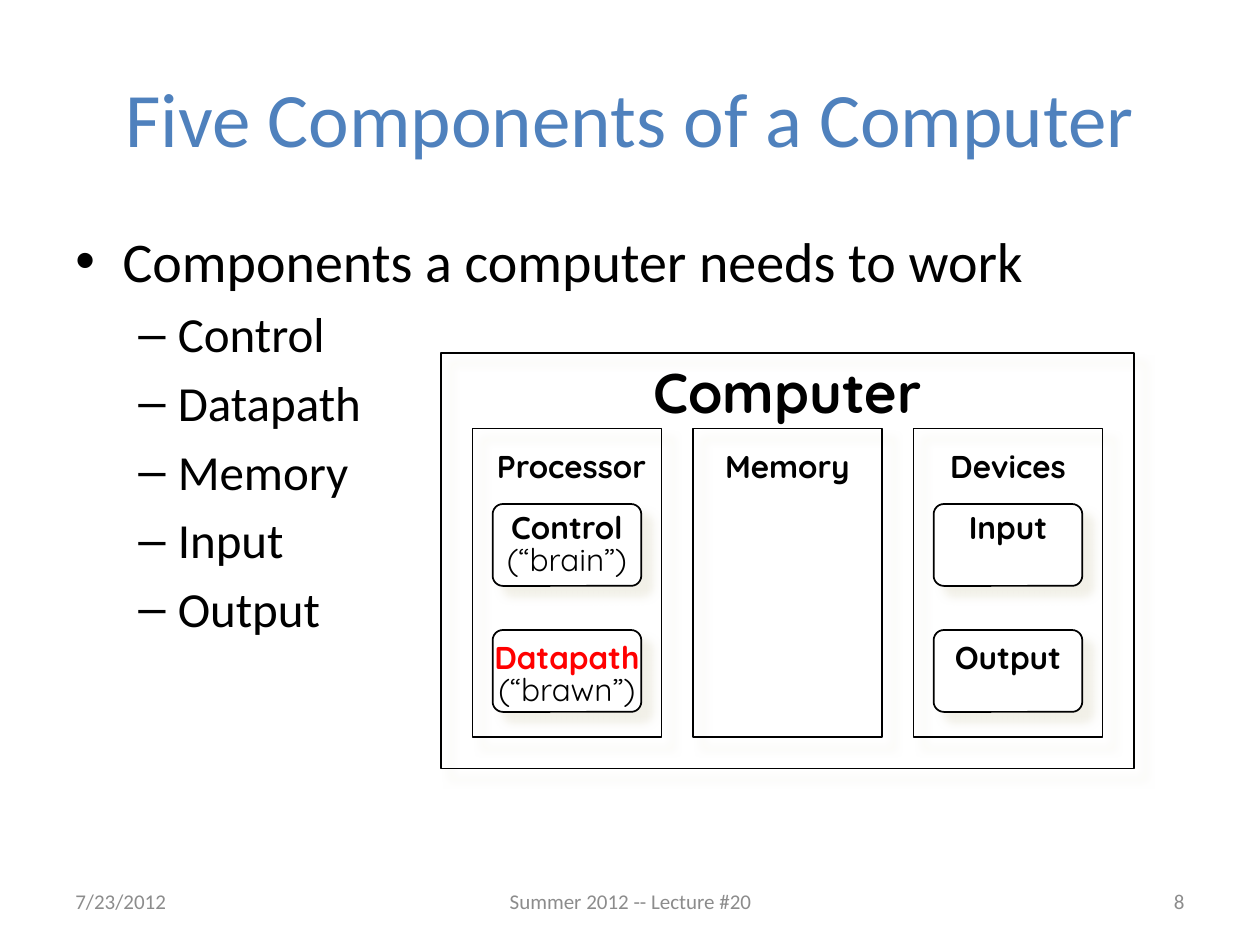
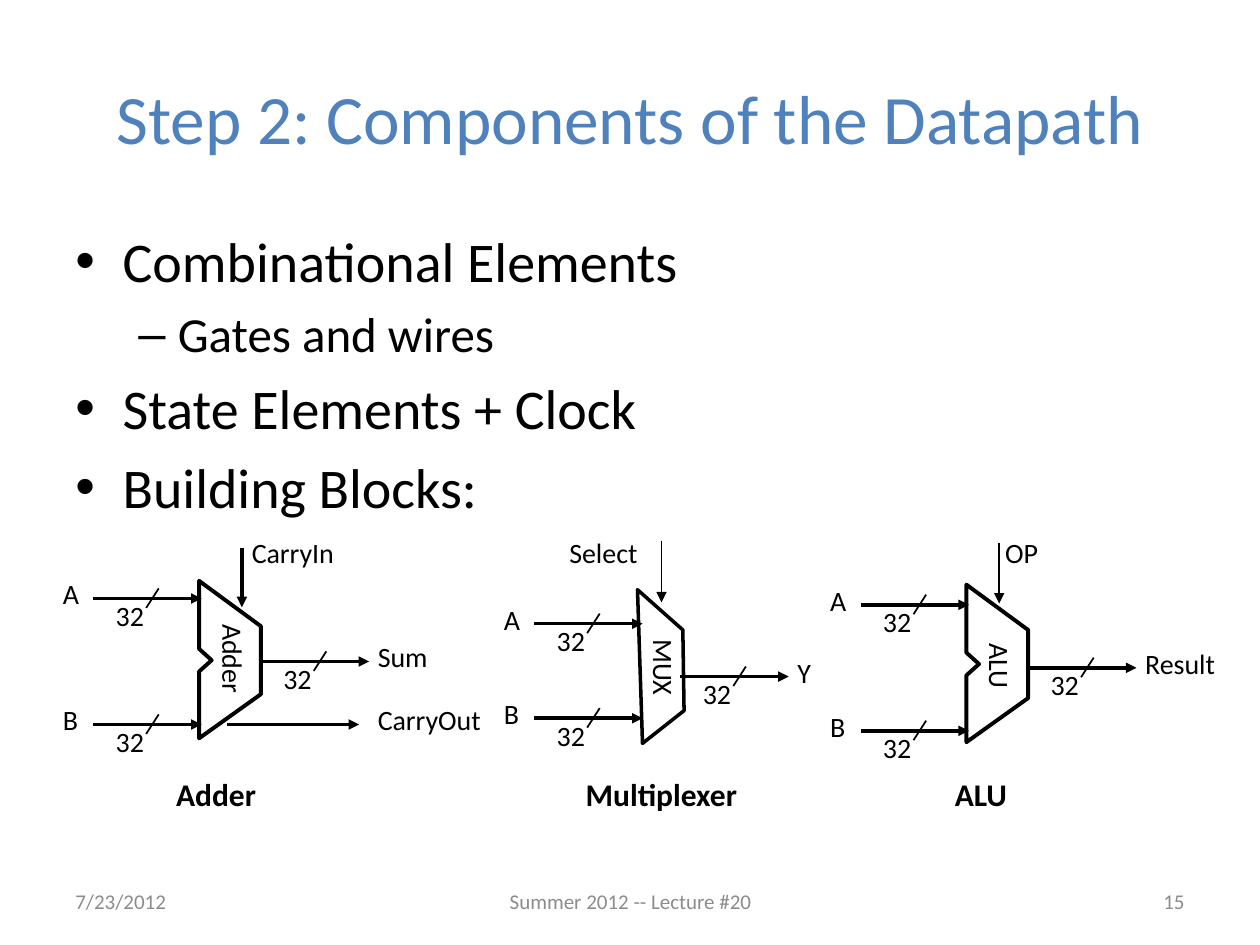
from lxml import etree
from pptx import Presentation
from pptx.dml.color import RGBColor
from pptx.enum.shapes import MSO_CONNECTOR, MSO_SHAPE
from pptx.enum.text import MSO_ANCHOR, MSO_AUTO_SIZE, PP_ALIGN
from pptx.oxml.ns import qn
from pptx.util import Emu, Inches, Pt

RECT, ROUNDED = MSO_SHAPE.RECTANGLE, MSO_SHAPE.ROUNDED_RECTANGLE
STRAIGHT = MSO_CONNECTOR.STRAIGHT
LEFT, CENTER, RIGHT = PP_ALIGN.LEFT, PP_ALIGN.CENTER, PP_ALIGN.RIGHT
TOP, MIDDLE = MSO_ANCHOR.TOP, MSO_ANCHOR.MIDDLE
FIT, FIXED = MSO_AUTO_SIZE.SHAPE_TO_FIT_TEXT, MSO_AUTO_SIZE.NONE

COLORS = {"title": "4F81BD", "ink": "000000", "footer": "8C8C8C",
          "accent": "FF0000", "paper": "FFFFFF", "shadow": "EEECE1"}
BODY_FONT, DIAGRAM_FONT = "Calibri", "Quicksand"

# The slide is a grid of 100 columns by 75 rows; all lengths are in cells.
COLS, ROWS = 100, 75
CELL = Inches(10) // COLS
DATE, COURSE = "7/23/2012", "Summer 2012 -- Lecture #20"

# Per level: bullet, text size, left margin, hanging indent
LEVELS = [("•", 32, 3.75, 3.75), ("–", 28, 8.13, 3.13)]


def cells(*lengths):
    return [Emu(round(length * CELL)) for length in lengths]


def rgb(name):
    return RGBColor.from_string(COLORS[name])


def add_xml(parent, tag, **attributes):
    return etree.SubElement(parent, qn(tag), attributes)


def style(paragraph, size, color="ink", font=BODY_FONT, bold=False):
    for run in paragraph.runs:
        run.font.size, run.font.name, run.font.bold = Pt(size), font, bold
        run.font.color.rgb = rgb(color)


def add_text(shapes, box, text, size, color="ink", align=LEFT, anchor=TOP,
             bold=False, wrap=True, fit=FIXED):
    label = shapes.add_textbox(*cells(*box))
    frame = label.text_frame
    frame.word_wrap, frame.auto_size, frame.vertical_anchor = wrap, fit, anchor
    frame.text = text
    for paragraph in frame.paragraphs:
        paragraph.alignment = align
        style(paragraph, size, color, bold=bold)
    return label


def add_line(shapes, start, end, width, arrow=False):
    line = shapes.add_connector(STRAIGHT, *cells(*start, *end))
    line.line.color.rgb, line.line.width = rgb("ink"), Pt(width)
    if arrow:
        add_xml(line.line._get_or_add_ln(), "a:tailEnd", type="triangle")
    add_xml(line._element.spPr, "a:effectLst")


# ---- Shared slide frame ----

def add_slide(prs, title, number, title_size):
    slide = prs.slides.add_slide(prs.slide_layouts[5])
    heading = slide.shapes.title
    heading.left, heading.top, heading.width, heading.height = cells(5, 3, 90, 12.5)
    heading.text_frame.text = title
    heading.text_frame.vertical_anchor = MIDDLE
    paragraph = heading.text_frame.paragraphs[0]
    paragraph.alignment = CENTER
    style(paragraph, title_size, "title")

    footers = [(5, 23.3, DATE, LEFT), (34.2, 31.7, COURSE, CENTER),
               (71.7, 23.3, number, RIGHT)]
    for left, width, text, align in footers:
        add_text(slide.shapes, (left, 69.5, width, 4), text, 12, "footer",
                 align, MIDDLE)
    return slide


def add_bullets(slide, box, items):
    body = add_text(slide.shapes, box, "\n".join(text for _, text in items), 32)
    for paragraph, (level, _) in zip(body.text_frame.paragraphs, items):
        bullet, size, margin, hanging = LEVELS[level]
        paragraph.level = level
        style(paragraph, size)
        properties = paragraph._p.get_or_add_pPr()
        margin, hanging = cells(margin, hanging)
        properties.set("marL", str(margin))
        properties.set("indent", str(-hanging))
        add_xml(add_xml(properties, "a:spcBef"), "a:spcPct", val="20000")
        add_xml(properties, "a:buFont", typeface="Arial")
        add_xml(properties, "a:buChar", char=bullet)


# ---- Computer diagram ----

def add_panel(shapes, box, kind=RECT):
    panel = shapes.add_shape(kind, *cells(*box))
    panel.line.color.rgb, panel.line.width = rgb("ink"), Pt(1)
    if kind == ROUNDED:
        panel.adjustments[0] = 0.125
        panel.fill.solid()
        panel.fill.fore_color.rgb = rgb("paper")
    else:
        panel.fill.background()
    panel.shadow.inherit = False
    effects = panel._element.spPr.find(qn("a:effectLst"))
    shadow = add_xml(effects, "a:outerShdw", blurRad=str(Pt(5)),
                     dist=str(Pt(8.5)), dir="2700000", algn="tl",
                     rotWithShape="0")
    color = add_xml(shadow, "a:srgbClr", val=COLORS["shadow"])
    add_xml(color, "a:alpha", val="75000")


def add_panel_label(shapes, box, name, note="", size=18, color="ink"):
    text = f"{name}\n{note}" if note else name
    frame = add_text(shapes, box, text, size, align=CENTER, fit=FIT).text_frame
    frame.margin_left = frame.margin_right = Inches(0.07)
    frame.margin_top = frame.margin_bottom = Inches(0.03)
    for index, paragraph in enumerate(frame.paragraphs):
        paragraph.line_spacing = 0.85
        first = index == 0
        style(paragraph, size, color if first else "ink", DIAGRAM_FONT, first)


def add_computer(slide, box):
    left, top, width, _ = box
    shapes = slide.shapes
    add_panel(shapes, box)
    add_panel_label(shapes, (left, top + 0.9, width, 5.1), "Computer", size=32)

    # Each unit: name, nudge of its heading, parts (name, note, colour)
    units = [
        ("Processor", 0.35, [("Control", "(“brain”)", "ink"),
                             ("Datapath", "(“brawn”)", "accent")]),
        ("Memory", 0, []),
        ("Devices", 0, [("Input", "", "ink"), ("Output", "", "ink")]),
    ]
    gap, unit_width = 2.5, 15
    unit_top = top + 6
    for column, (name, nudge, parts) in enumerate(units):
        unit_left = left + gap + column * (unit_width + gap)
        add_panel(shapes, (unit_left, unit_top, unit_width, 24.5))
        add_panel_label(shapes, (unit_left + nudge, unit_top + 1.6, unit_width, 3.2),
                        name)
        for row, (part, note, color) in enumerate(parts):
            part_top = unit_top + 6 + 10 * row
            add_panel(shapes, (unit_left + 1.6, part_top, 11.8, 6.5), ROUNDED)
            add_panel_label(shapes, (unit_left, part_top + 0.5 + 0.3 * row,
                                     unit_width, 5.8 if note else 3.2),
                            part, note, color=color)


# ---- Datapath building blocks ----

WIRE = 8.6
NOTCHED = [(0, 0), (0, 5.4), (1, 6.3), (0, 7.2), (0, 12.5), (4.9, 9), (4.9, 3.6)]
TRAPEZOID = [(0, 0), (0.4, 12.2), (3.7, 9.6), (3.6, 3.2)]

# Places are relative to the block: labels are (text, column, width),
# the core is (text, centre column, centre row, width).
BLOCKS = [
    dict(left=39, caption=("Multiplexer", 6.5, 14.2), inputs=(7.5, 15),
         output=("Y", 15, 11.7, 3.1), select=("Select", 5.2, 9.1),
         select_wire=(13.5, 0.9, 5.8, 1), core=("MUX", 13.7, 11.05, 6.6),
         outline=(TRAPEZOID, 11.6, 4.8, 2)),
    dict(left=64.9, caption=("ALU", 9.9, 6.2), inputs=(6, 16),
         output=("Result", 16.7, 11, 7.8), select=("OP", 13.9, 6.6),
         select_wire=(14.4, 1.1, 5.9, 1), core=("ALU", 14.45, 11.05, 5.9),
         outline=(NOTCHED, 11.8, 4.4, 2.25)),
    dict(left=4, caption=("Adder", 9, 8.4), inputs=(5.5, 15.5),
         output=("Sum", 16.7, 10.5, 6), select=("CarryIn", 15, 8.6),
         select_wire=(15.2, 1.5, 6.2, 2), core=("Adder", 14.5, 10.45, 7.8),
         outline=(NOTCHED, 11.8, 4.1, 2.25), carry=("CarryOut", 14, 15.5, 10.3)),
]


def add_block(slide, top, left, caption, inputs, output, select, select_wire,
              core, outline, carry=None):
    shapes = slide.shapes.add_group_shape().shapes

    def label(text, column, row, width, size=16, bold=False):
        return add_text(shapes, (left + column, top + row, width, 3.7 if size == 16 else 4),
                        text, size, bold=bold, wrap=False, fit=FIT)

    def line(start, end, width, arrow=False):
        add_line(shapes, (left + start[0], top + start[1]),
                 (left + end[0], top + end[1]), width, arrow)

    def bus(column, row):
        line((column, row), (column + WIRE, row), 2, True)
        line((column + 5.2, row - 0.8), (column + 4.2, row + 0.75), 1)
        label("32", column + 0.8, row - 0.5, 4.3)

    # Inputs and output
    for name, row in zip("AB", inputs):
        bus(3.4, row)
        label(name, 0, row - 2.2, 3.3)
    name, column, row, width = output
    bus(column, row)
    label(name, column + WIRE - 0.3, row - 2.2, width)
    if carry:
        name, column, row, width = carry
        line((column, row), (column + 10.5, row), 2, True)
        label(name, column + 11, row - 2.2, width)

    # Control signal from above
    column, start, end, weight = select_wire
    line((column, start), (column, end), weight, True)
    name, column, width = select
    label(name, column, 0, width)

    # Body and caption
    name, column, row, width = core
    label(name, column - width / 2, row - 1.85, width).rotation = 90
    corners, column, row, weight = outline
    points = [cells(left + column + x, top + row + y) for x, y in corners]
    builder = shapes.build_freeform(*points[0])
    builder.add_line_segments(points[1:], close=True)
    body = builder.convert_to_shape()
    body.fill.background()
    body.line.color.rgb, body.line.width = rgb("ink"), Pt(weight)
    body.shadow.inherit = False
    name, column, width = caption
    label(name, column, 19, width, 18, True)


def main():
    prs = Presentation()
    prs.slide_width, prs.slide_height = cells(COLS, ROWS)

    components = add_slide(prs, "Five Components of a Computer", "8", 44)
    parts = ["Control", "Datapath", "Memory", "Input", "Output"]
    add_bullets(components, (5, 17.5, 90, 53.1),
                [(0, "Components a computer needs to work")]
                + [(1, part) for part in parts])
    add_computer(components, (35, 28, 55, 33))

    datapath = add_slide(prs, "Step 2: Components of the Datapath", "15", 39.6)
    add_bullets(datapath, (5, 17.5, 90, 28.9),
                [(0, "Combinational Elements"), (1, "Gates and wires"),
                 (0, "State Elements + Clock"), (0, "Building Blocks:")])
    for block in BLOCKS:
        add_block(datapath, 42, **block)

    prs.save("out.pptx")


if __name__ == "__main__":
    main()
